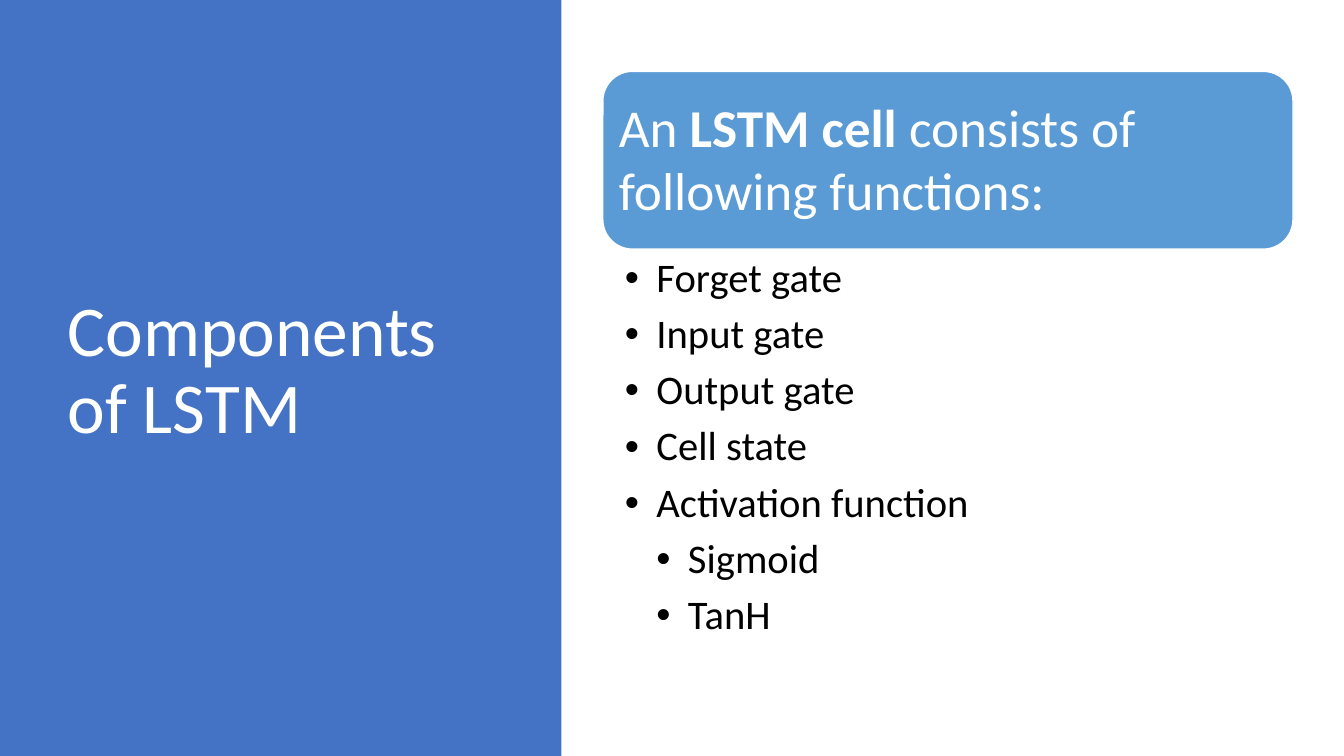
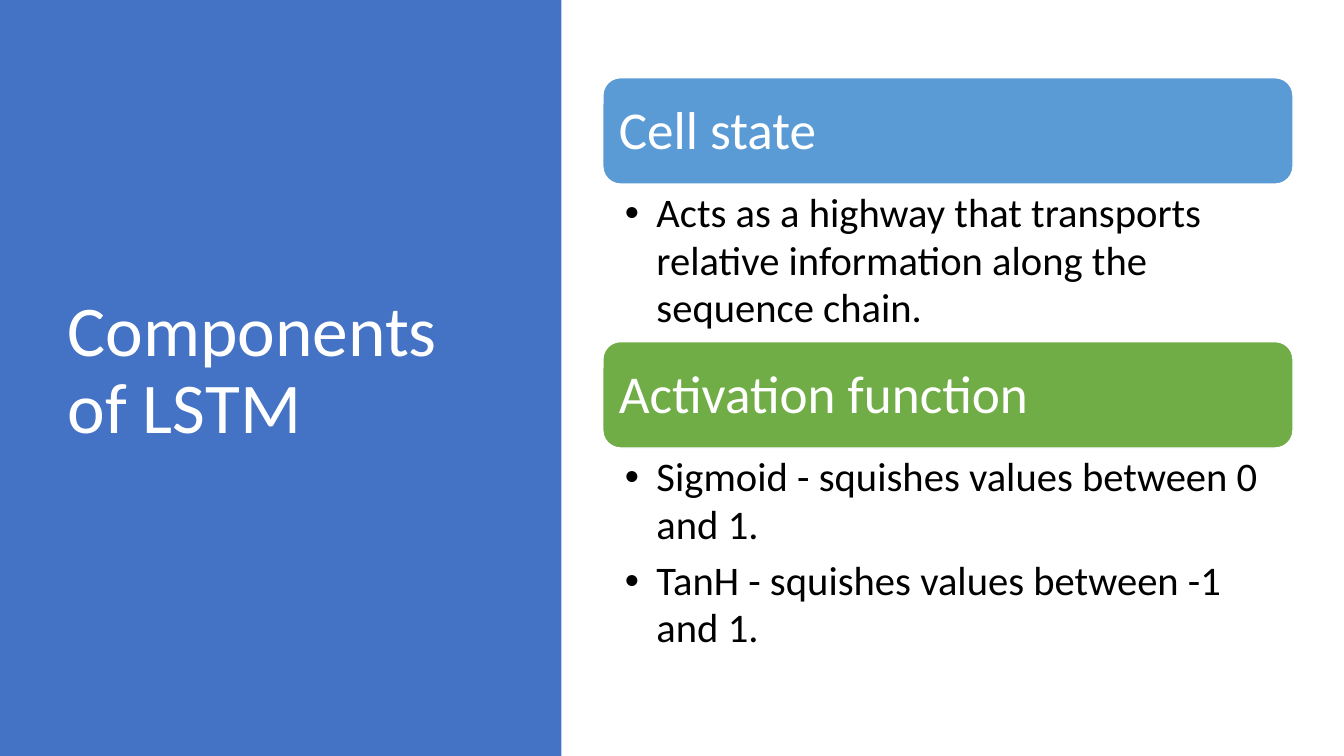
"""Build two slides on the components of an LSTM."""
from dataclasses import dataclass

from lxml import etree
from pptx import Presentation
from pptx import util as u
from pptx.dml.color import RGBColor
from pptx.enum import shapes, text
from pptx.oxml.ns import qn


@dataclass(frozen=True)
class Theme:
    font: str = "Calibri"
    white: RGBColor = RGBColor(0xFF, 0xFF, 0xFF)
    black: RGBColor = RGBColor(0, 0, 0)
    panel: RGBColor = RGBColor(0x44, 0x72, 0xC4)
    blue: RGBColor = RGBColor(0x5B, 0x9B, 0xD5)
    green: RGBColor = RGBColor(0x71, 0xAD, 0x47)
    title_size: int = 51
    heading_size: int = 38
    list_size: int = 29


THEME = Theme()
WIDTH, HEIGHT = 960, 540
PANEL_WIDTH = 401
TITLE_BOX = (41, 49, 300, 433)
COLUMN_LEFT, COLUMN_WIDTH = 430.6, 493
HEADING_INSET = 11.5
CORNER_INSET = 0.049
BULLET_INDENT = 22.5
TITLE = "Components of LSTM"


def place(part, left, top, width, height):
    part.left, part.top = u.Pt(left), u.Pt(top)
    part.width, part.height = u.Pt(width), u.Pt(height)


def set_margins(frame, left, top, right, bottom):
    frame.margin_left, frame.margin_top = u.Pt(left), u.Pt(top)
    frame.margin_right, frame.margin_bottom = u.Pt(right), u.Pt(bottom)
    frame.word_wrap = True
    frame.auto_size = text.MSO_AUTO_SIZE.NONE


def style(paragraph, size, colour, spacing, after=0):
    paragraph.alignment = text.PP_ALIGN.LEFT
    paragraph.line_spacing = spacing
    paragraph.space_before = u.Pt(0)
    paragraph.space_after = u.Pt(after)
    paragraph.font.name = THEME.font
    paragraph.font.size = u.Pt(size)
    paragraph.font.color.rgb = colour


def add_block(slide, kind, box, colour):
    block = slide.shapes.add_shape(kind, *map(u.Pt, box))
    block.shadow.inherit = False
    block.fill.solid()
    block.fill.fore_color.rgb = colour
    return block


def add_titled_slide(deck, layout):
    slide = deck.slides.add_slide(deck.slide_layouts.get_by_name(layout))
    panel = add_block(slide, shapes.MSO_SHAPE.RECTANGLE, (0, 0, PANEL_WIDTH, HEIGHT), THEME.panel)
    panel.line.fill.background()
    slide.shapes._spTree.insert(2, panel._element)
    title = slide.shapes.title
    place(title, *TITLE_BOX)
    title.text_frame.text = TITLE
    title.text_frame.vertical_anchor = text.MSO_ANCHOR.MIDDLE
    set_margins(title.text_frame, 7.2, 3.6, 7.2, 3.6)
    style(title.text_frame.paragraphs[0], THEME.title_size, THEME.white, 0.9)
    return slide


def add_heading(slide, top, height, colour, pieces):
    box = (COLUMN_LEFT, top, COLUMN_WIDTH, height)
    heading = add_block(slide, shapes.MSO_SHAPE.ROUNDED_RECTANGLE, box, colour)
    heading.line.color.rgb = THEME.white
    heading.line.width = u.Pt(1)
    frame = heading.text_frame
    frame.vertical_anchor = text.MSO_ANCHOR.MIDDLE
    set_margins(frame, *[HEADING_INSET - CORNER_INSET * height] * 4)
    paragraph = frame.paragraphs[0]
    style(paragraph, THEME.heading_size, THEME.white, 0.98)
    for wording, bold in pieces:
        run = paragraph.add_run()
        run.text = wording
        if bold:
            run.font.bold = True


def set_bullet(paragraph):
    properties = paragraph._p.get_or_add_pPr()
    properties.set("marL", str(u.Pt(BULLET_INDENT * (paragraph.level + 1))))
    properties.set("indent", str(u.Pt(-BULLET_INDENT)))
    bullet = etree.Element(qn("a:buChar"), char="•")
    properties.find(qn("a:defRPr")).addprevious(bullet)


def fill_list(body, top, height, items):
    place(body, COLUMN_LEFT, top, COLUMN_WIDTH, height)
    frame = body.text_frame
    set_margins(frame, 15.8, 3.6, 21.6, 3.6)
    frame.vertical_anchor = text.MSO_ANCHOR.TOP
    frame.text = "\n".join(wording for wording, _ in items)
    for paragraph, (_, level) in zip(frame.paragraphs, items):
        paragraph.level = level
        style(paragraph, THEME.list_size, THEME.black, 0.98, after=6)
        set_bullet(paragraph)


def add_sections(slide, top, heading_height, sections):
    bodies = [body for body in slide.placeholders if body.placeholder_format.idx]
    for body, (colour, pieces, list_height, items) in zip(bodies, sections):
        add_heading(slide, top, heading_height, colour, pieces)
        fill_list(body, top + heading_height, list_height, items)
        top += heading_height + list_height


def main():
    deck = Presentation()
    deck.slide_width, deck.slide_height = u.Pt(WIDTH), u.Pt(HEIGHT)

    overview = add_titled_slide(deck, "Title and Content")
    add_sections(overview, 51, 127, [
        (THEME.blue,
         [("An ", False), ("LSTM cell ", True), ("consists of following functions:", False)],
         302,
         [("Forget gate", 0), ("Input gate", 0), ("Output gate", 0), ("Cell state", 0),
          ("Activation function", 0), ("Sigmoid", 1), ("TanH", 1)]),
    ])

    details = add_titled_slide(deck, "Two Content")
    add_sections(details, 55.5, 76, [
        (THEME.blue, [("Cell state", False)], 112.5,
         [("Acts as a highway that transports relative information along the sequence chain.", 0)]),
        (THEME.green, [("Activation function", False)], 155.5,
         [("Sigmoid - squishes values between 0 and 1.", 0),
          ("TanH - squishes values between -1 and 1.", 0)]),
    ])
    deck.save("out.pptx")


if __name__ == "__main__":
    main()
